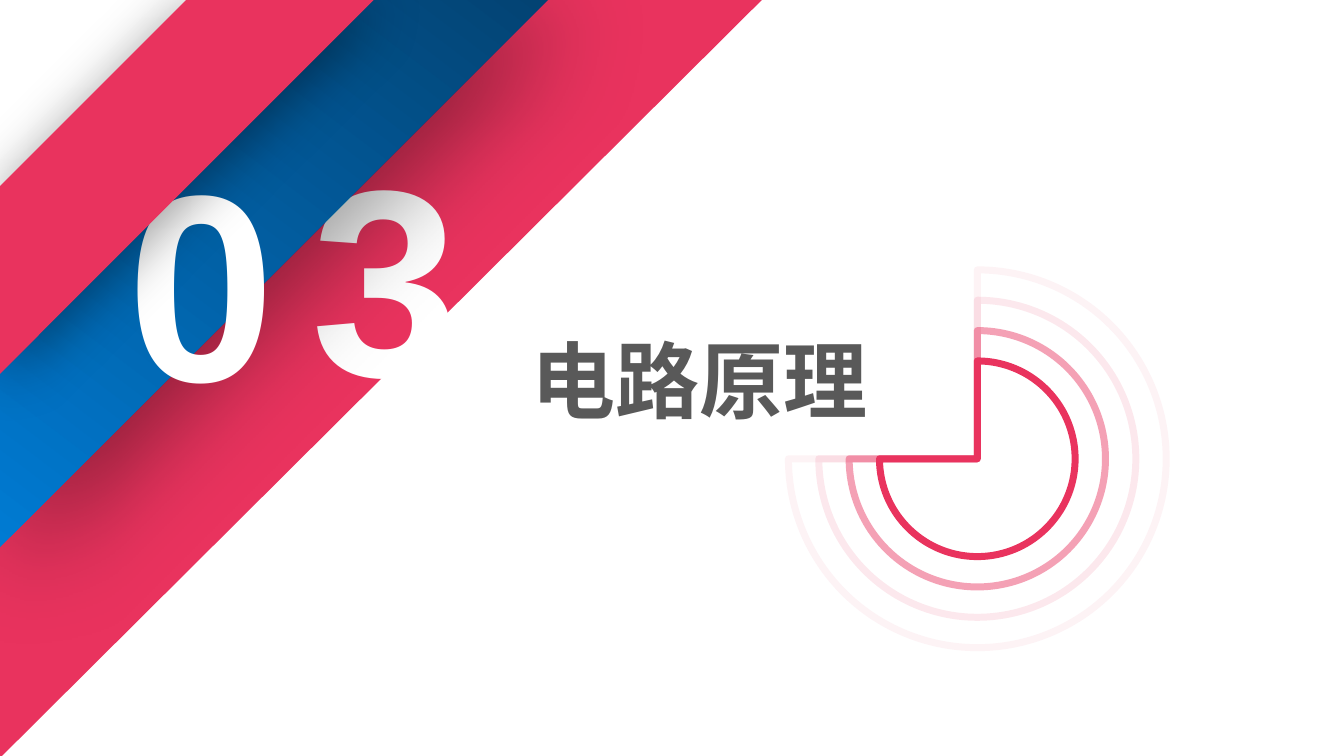
from dataclasses import dataclass
from typing import Any, Optional

import pptx
import pptx.dml.color
import pptx.enum.shapes
import pptx.enum.text
import pptx.oxml
import pptx.oxml.ns
import pptx.util

Cm, Pt = pptx.util.Cm, pptx.util.Pt
RGB = pptx.dml.color.RGBColor
Preset = pptx.enum.shapes.MSO_SHAPE
Align = pptx.enum.text.PP_ALIGN


@dataclass(frozen=True)
class Theme:
    pink: RGB = RGB(0xE9, 0x33, 0x5E)
    blue_light: RGB = RGB(0x00, 0x7B, 0xD3)
    blue_dark: RGB = RGB(0x03, 0x43, 0x73)
    white: RGB = RGB(0xFF, 0xFF, 0xFF)
    grey: RGB = RGB(0x59, 0x59, 0x59)
    latin: str = "Arial"
    chinese: str = "Noto Sans CJK SC"
    digit_size: int = 190
    title_size: int = 60
    ring_width: int = 5


@dataclass(frozen=True)
class Shadow:
    blur: int
    distance: int
    opacity: int = 40
    angle: int = 45


@dataclass(frozen=True)
class Digit:
    text: str
    left: float
    top: float
    width: float


@dataclass(frozen=True)
class Stripe:
    width: float
    height: float
    blue: bool = False
    shadow: Optional[Shadow] = None
    digit: Optional[Digit] = None


THEME = Theme()
STRIPE_LEFT = -0.03
STRIPES = (
    Stripe(19.23, 19.13, digit=Digit("3", 7.59, 2.06, 3.99)),
    Stripe(13.82, 13.82, blue=True, shadow=Shadow(78, 21), digit=Digit("0", 2.97, 2.18, 3.68)),
    Stripe(9.45, 9.45, shadow=Shadow(42, 6)),
)
DIGIT_HEIGHT = 8.38
RING_CENTRE = (24.63, 11.56)
RING_DIAMETER, RING_STEP = 4.93, 1.53
RING_OPACITIES = (100, 45, 11, 5)


def place(shape: Any, left: float, top: float, width: float, height: float) -> None:
    shape.left, shape.top = Cm(left), Cm(top)
    shape.width, shape.height = Cm(width), Cm(height)


def write(shape: Any, text: str, *, font: str, size: int, color: RGB,
          align: Align = Align.LEFT, inset_top: float = 0.13) -> None:
    """Fill a text frame with one bold paragraph, anchored at the top."""
    frame = shape.text_frame
    frame.word_wrap = True
    frame.auto_size = pptx.enum.text.MSO_AUTO_SIZE.SHAPE_TO_FIT_TEXT
    frame.vertical_anchor = pptx.enum.text.MSO_ANCHOR.TOP
    frame.margin_top = Cm(inset_top)
    paragraph = frame.paragraphs[0]
    paragraph.alignment = align
    run = paragraph.add_run()
    run.text = text
    run.font.name, run.font.size, run.font.bold = font, Pt(size), True
    run.font.color.rgb = color
    east_asian = pptx.oxml.parse_xml(f'<a:ea {pptx.oxml.ns.nsdecls("a")} typeface="{font}"/>')
    run.font.fill  # the fill precedes the typefaces in the run properties
    run.font._element.find(pptx.oxml.ns.qn("a:latin")).addnext(east_asian)


def cast_shadow(shape: Any, shadow: Shadow) -> None:
    effects = shape._element.spPr.find(pptx.oxml.ns.qn("a:effectLst"))
    effects.append(pptx.oxml.parse_xml(
        f'<a:outerShdw {pptx.oxml.ns.nsdecls("a")} blurRad="{Pt(shadow.blur)}" '
        f'dist="{Pt(shadow.distance)}" dir="{shadow.angle * 60000}" algn="tl" rotWithShape="0">'
        f'<a:srgbClr val="000000"><a:alpha val="{shadow.opacity * 1000}"/></a:srgbClr>'
        f'</a:outerShdw>'))


def add_stripe(slide: Any, stripe: Stripe) -> None:
    band = slide.shapes.add_shape(Preset.DIAGONAL_STRIPE, Cm(STRIPE_LEFT), 0,
                                  Cm(stripe.width), Cm(stripe.height))
    band.shadow.inherit = False
    band.line.fill.background()
    if stripe.blue:
        band.fill.gradient()
        band.fill.gradient_angle = 53
        for stop, color in zip(band.fill.gradient_stops, (THEME.blue_light, THEME.blue_dark)):
            stop.color.rgb = color
    else:
        band.fill.solid()
        band.fill.fore_color.rgb = THEME.pink
    if stripe.shadow:
        cast_shadow(band, stripe.shadow)


def add_digit(slide: Any, digit: Digit) -> None:
    box = slide.shapes.add_textbox(0, 0, 0, 0)
    write(box, digit.text, font=THEME.latin, size=THEME.digit_size,
          color=THEME.white, inset_top=0.73)
    place(box, digit.left, digit.top, digit.width, DIGIT_HEIGHT)


def add_ring(group: Any, diameter: float, opacity: int) -> None:
    """Add a three-quarter outline, open at the top left."""
    ring = group.shapes.add_shape(Preset.PIE, 0, 0, 0, 0)
    place(ring, *(centre - diameter / 2 for centre in RING_CENTRE), diameter, diameter)
    ring.rotation = 270
    ring.shadow.inherit = False
    ring.fill.background()
    ring.line.width = Pt(THEME.ring_width)
    ring.line.color.rgb = THEME.pink
    if opacity < 100:
        color = ring.line._ln.find(".//" + pptx.oxml.ns.qn("a:srgbClr"))
        color.append(pptx.oxml.parse_xml(
            f'<a:alpha {pptx.oxml.ns.nsdecls("a")} val="{opacity * 1000}"/>'))


def main() -> None:
    deck = pptx.Presentation()
    deck.slide_width, deck.slide_height = Cm(33.87), Cm(19.05)
    slide = deck.slides.add_slide(deck.slide_layouts.get_by_name("Title Only"))

    title = slide.shapes.title
    place(title, 13.13, 8.15, 10.41, 2.82)
    write(title, "电路原理", font=THEME.chinese, size=THEME.title_size,
          color=THEME.grey, align=Align.JUSTIFY)

    for stripe in STRIPES:
        add_stripe(slide, stripe)
        if stripe.digit:
            add_digit(slide, stripe.digit)

    rings = slide.shapes.add_group_shape()
    for index, opacity in enumerate(RING_OPACITIES):
        add_ring(rings, RING_DIAMETER + index * RING_STEP, opacity)

    deck.save("out.pptx")


if __name__ == "__main__":
    main()
